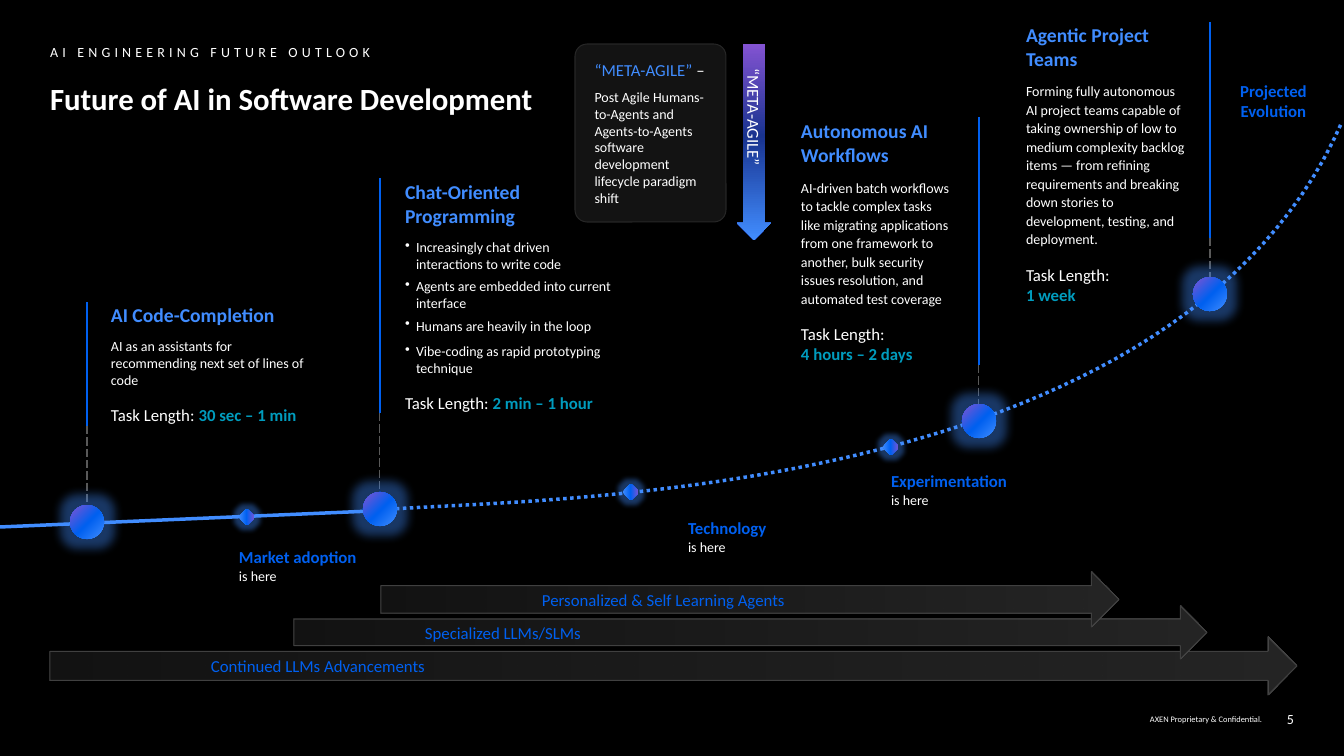
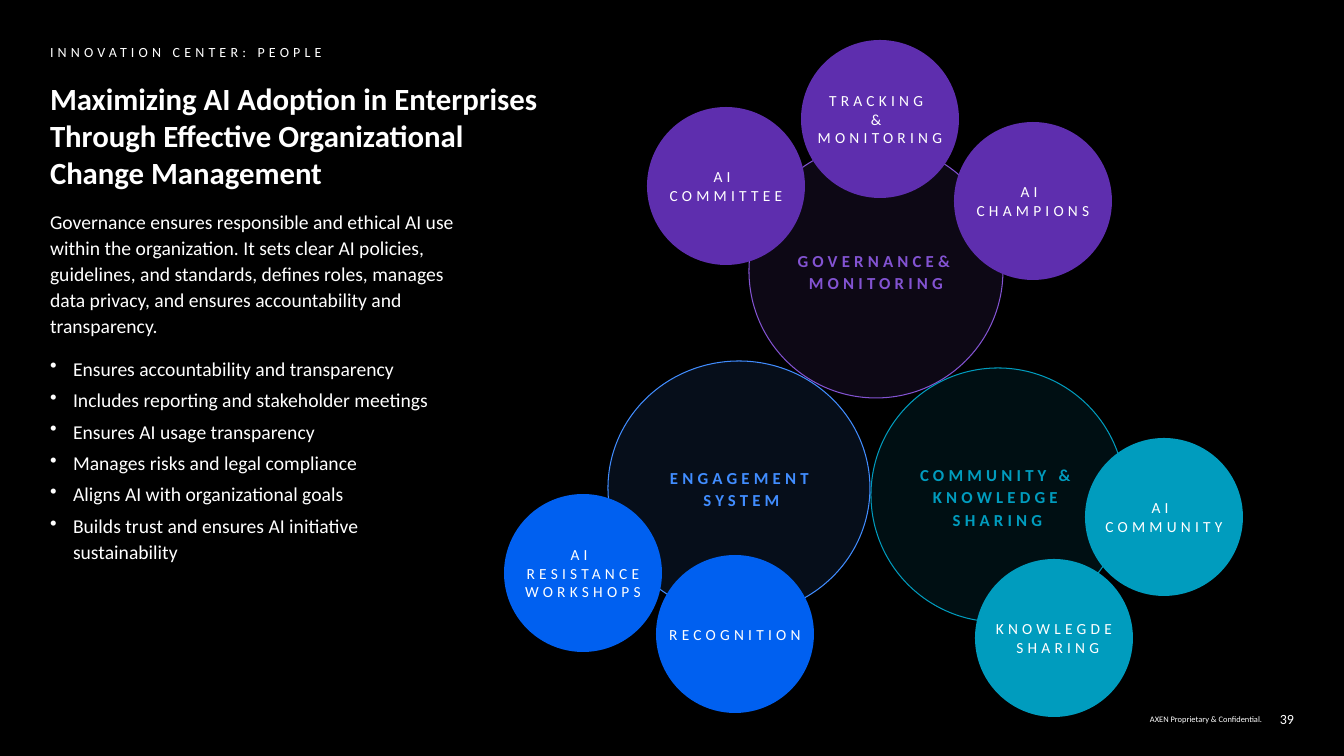
from lxml.etree import SubElement
from pptx import Presentation
from pptx.dml.color import RGBColor
from pptx.enum.dml import MSO_LINE
from pptx.enum.shapes import MSO_CONNECTOR, MSO_SHAPE
from pptx.enum.text import MSO_ANCHOR, MSO_AUTO_SIZE, PP_ALIGN
from pptx.oxml.ns import qn
from pptx.util import Emu, Pt

SCALE = 12192000 / 1344
WHITE, BLACK, GRAY, DARK = "FFFFFF", "000000", "595959", "262626"
SKY, BLUE, LILAC, PURPLE, TEAL = "418DFF", "0060F0", "8353D2", "5E2EAE", "009CBE"
GLOSS = [(0, SKY, 100), (48, BLUE, 100), (100, LILAC, 100)]
FADE = [(0, DARK, 50), (100, DARK, 100)]
DROP = [(0, LILAC, 100), (47, "19338F", 100), (100, SKY, 100)]

STYLES = {
    "title": (WHITE, 0, {"size": Pt(22), "bold": True}),
    "kicker": (WHITE, 300, {"size": Pt(10)}),
    "foot": (WHITE, 0, {"size": Pt(6)}),
    "small": (WHITE, 0, {"size": Pt(10)}),
    "plain": (WHITE, 0, {"size": Pt(12)}),
    "large": (WHITE, 0, {"size": Pt(14)}),
    "head": (SKY, 0, {"size": Pt(14), "bold": True}),
    "term": (SKY, 0, {"size": Pt(12)}),
    "span": (TEAL, 0, {"size": Pt(12), "bold": True}),
    "mark": (BLUE, 0, {"size": Pt(12), "bold": True}),
    "trend": (BLUE, 0, {"size": Pt(12)}),
    "ring": (WHITE, 300, {"size": Pt(11)}),
    LILAC: (LILAC, 300, {"size": Pt(12), "bold": True}),
    SKY: (SKY, 300, {"size": Pt(12), "bold": True}),
    TEAL: (TEAL, 300, {"size": Pt(12), "bold": True}),
}
LOOSE = {"line_spacing": 1.1}
MID = {"alignment": PP_ALIGN.CENTER}
RIGHT = {"alignment": PP_ALIGN.RIGHT}


def gap(after, **more):
    return {"space_after": Pt(after), **more}


def para(text, style, **form):
    return [(text, style)], form


def task(span):
    return [("Task Length: ", "plain"), (span, "span")], {}


def point(text, style, hang, after, **more):
    return [(text, style)], gap(after, hang=hang, **more)


STAGES = [
    ((87, 302, 225, 123), (24, 0, 0, 0), MSO_ANCHOR.BOTTOM, [
        para("AI Code-Completion", "head", **gap(8)),
        para("AI as an assistants for recommending next set of lines of code", "small", **gap(12)),
        task("30 sec – 1 min")]),
    ((381, 178, 233, 235), (24, 0, 0, 0), MSO_ANCHOR.BOTTOM, [
        para("Chat-Oriented Programming", "head", **gap(8)),
        point("Increasingly chat driven interactions to write code", "small", 11, 4),
        point("Agents are embedded into current interface", "small", 11, 4),
        point("Humans are heavily in the loop", "small", 11, 4),
        point("Vibe-coding as rapid prototyping technique", "small", 11, 12, space_before=Pt(2)),
        task("2 min – 1 hour")]),
    ((801, 117, 176, 247), (0, 0, 24, 0), MSO_ANCHOR.BOTTOM, [
        para("Autonomous AI Workflows", "head", **gap(8)),
        para("AI-driven batch workflows to tackle complex tasks like migrating applications "
             "from one framework to another, bulk security issues resolution, and automated "
             "test coverage", "small", **gap(12, **LOOSE)),
        para("Task Length:", "plain"), para("4 hours – 2 days", "span")]),
    ((1026, 23, 184, 284), (0, 0, 24, 0), MSO_ANCHOR.TOP, [
        para("Agentic Project Teams", "head", **gap(8)),
        para("Forming fully autonomous AI project teams capable of taking ownership of low to "
             "medium complexity backlog items — from refining requirements and breaking down "
             "stories to development, testing, and deployment.", "small", **gap(12, **LOOSE)),
        para("Task Length:", "plain"), para("1 week", "span")]),
]
POSTS = [(87, 302, 426, 522), (380, 178, 413, 509), (979, 117, 365, 421), (1210, 22, 238, 294)]
GEMS = [(247, 517), (631, 492), (891, 447)]
MARKS = [("Market adoption", 239, 547), ("Technology", 688, 518), ("Experimentation", 891, 471)]
CURVE = [(368, 511), (495, 497), (1170, 517), (1342, 122)]
TRENDS = [
    ("Continued LLMs Advancements", (50, 637, 1247, 58), 161),
    ("Specialized LLMs/SLMs", (294, 606, 913, 53), 131),
    ("Personalized & Self Learning Agents", (381, 572, 738, 55), 161),
]
META = [
    ([("“META-AGILE” ", "term"), ("–", "plain")], gap(6)),
    para("Post Agile Humans-to-Agents and Agents-to-Agents software development lifecycle "
         "paradigm shift", "small"),
]
DUTIES = [
    "Ensures accountability and transparency",
    "Includes reporting and stakeholder meetings",
    "Ensures AI usage transparency",
    "Manages risks and legal compliance",
    "Aligns AI with organizational goals",
    "Builds trust and ensures AI initiative sustainability",
]
INTRO = ("Governance ensures responsible and ethical AI use within the organization. It sets "
         "clear AI policies, guidelines, and standards, defines roles, manages data privacy, "
         "and ensures accountability and transparency.")
HUBS = [
    ("GOVERNANCE& MONITORING", LILAC, (749, 144, 254, 254), (794, 249, 164, 43)),
    ("COMMUNITY & KNOWLEDGE SHARING", TEAL, (871, 368, 254, 254), (911, 463, 173, 67)),
    ("ENGAGEMENT SYSTEM", SKY, (608, 361, 262, 254), (650, 466, 183, 44)),
]
RINGS = [
    ("RECOGNITION", BLUE, 656, 555),
    ("AI \nCHAMPIONS", PURPLE, 954, 122),
    ("AI \nCOMMUNITY", TEAL, 1085, 438),
    ("AI \nRESISTANCE\nWORKSHOPS", BLUE, 504, 494),
    ("AI \nCOMMITTEE", PURPLE, 647, 107),
    ("TRACKING \n& \nMONITORING", PURPLE, 801, 40),
    ("KNOWLEGDE\n SHARING", TEAL, 975, 559),
]


def px(*nums):
    return [Emu(round(n * SCALE)) for n in nums]


def tint(code):
    return RGBColor.from_string(code)


def write(frame, paras, inset=(0, 0, 0, 0), anchor=MSO_ANCHOR.TOP, wrap=True):
    left, top, right, low = px(*inset)
    form = {"margin_left": left, "margin_top": top, "margin_right": right, "margin_bottom": low,
            "word_wrap": wrap, "auto_size": MSO_AUTO_SIZE.NONE, "vertical_anchor": anchor}
    for key, val in form.items():
        setattr(frame, key, val)
    for num, (runs, look) in enumerate(paras):
        line = frame.add_paragraph() if num else frame.paragraphs[0]
        look = {"alignment": PP_ALIGN.LEFT, **look}
        hang = look.pop("hang", 0)
        if hang:
            props = line._p.get_or_add_pPr()
            wide = px(hang)[0]
            props.set("marL", str(wide))
            props.set("indent", str(-wide))
            SubElement(props, qn("a:buChar")).set("char", "•")
        for key, val in look.items():
            setattr(line, key, val)
        for text, style in runs:
            color, space, font = STYLES[style]
            run = line.add_run()
            run.text = text
            for key, val in {"name": "Calibri", "bold": False, **font}.items():
                setattr(run.font, key, val)
            run.font.color.rgb = tint(color)
            if space:
                run._r.get_or_add_rPr().set("spc", str(space))


def label(slide, box, paras, **form):
    write(slide.shapes.add_textbox(*px(*box)).text_frame, paras, **form)


def veil(node, alpha):
    SubElement(node, qn("a:alpha")).set("val", str(alpha * 1000))


def draw(slide, kind, box, fill, alpha=100, edge=None, angle=0, turn=0, glow=0):
    shape = slide.shapes.add_shape(kind, *px(*box))
    shape.shadow.inherit = False
    shape.rotation = turn
    props = shape.element.spPr
    if isinstance(fill, str):
        shape.fill.solid()
        shape.fill.fore_color.rgb = tint(fill)
        if alpha < 100:
            veil(props.find(".//" + qn("a:srgbClr")), alpha)
    else:
        shape.fill.gradient()
        grad = props.find(qn("a:gradFill"))
        grad.find(qn("a:lin")).set("ang", str(angle * 60000))
        stops = grad.find(qn("a:gsLst"))
        for old in list(stops):
            stops.remove(old)
        for pos, code, part in fill:
            stop = SubElement(stops, qn("a:gs"))
            stop.set("pos", str(pos * 1000))
            hue = SubElement(stop, qn("a:srgbClr"))
            hue.set("val", code)
            veil(hue, part)
    if edge:
        shape.line.color.rgb = tint(edge)
        shape.line.width = Pt(0.75)
    else:
        shape.line.fill.background()
    if glow:
        halo = SubElement(props.find(qn("a:effectLst")), qn("a:glow"))
        halo.set("rad", str(px(glow)[0]))
        hue = SubElement(halo, qn("a:srgbClr"))
        hue.set("val", SKY)
        veil(hue, 40)
    return shape


def rule(slide, ends, color, width, dash=None):
    line = slide.shapes.add_connector(MSO_CONNECTOR.STRAIGHT, *px(*ends))
    line.line.color.rgb = tint(color)
    line.line.width = Pt(width)
    if dash:
        line.line.dash_style = dash
    SubElement(line.element.spPr, qn("a:effectLst"))


def trace(slide, ends, steps=60):
    dots = []
    for step in range(steps + 1):
        t = step / steps
        mix = ((1 - t) ** 3, 3 * t * (1 - t) ** 2, 3 * t * t * (1 - t), t ** 3)
        dots.append(px(*(sum(m * p[i] for m, p in zip(mix, ends)) for i in (0, 1))))
    form = slide.shapes.build_freeform(*dots[0], scale=1.0)
    form.add_line_segments(dots[1:], close=False)
    curve = form.convert_to_shape()
    curve.shadow.inherit = False
    curve.fill.background()
    curve.line.color.rgb = tint(SKY)
    curve.line.width = Pt(2.5)
    curve.line.dash_style = MSO_LINE.ROUND_DOT


def start(deck, title, box, kicker, page):
    slide = deck.slides.add_slide(deck.slide_layouts[5])
    head = slide.shapes.title
    head.left, head.top, head.width, head.height = px(*box)
    write(head.text_frame, [para(title, "title")])
    label(slide, (50, 42, 398, 25), [para(kicker, "kicker", **LOOSE)])
    label(slide, (1108, 707, 154, 24), [para("AXEN Proprietary & Confidential.", "foot", **RIGHT)],
          anchor=MSO_ANCHOR.MIDDLE)
    label(slide, (1267, 707, 27, 24), [para(page, "small", **RIGHT)], anchor=MSO_ANCHOR.MIDDLE)
    return slide


def future(deck):
    slide = start(deck, "Future of AI in Software Development", (50, 80, 520, 50),
                  "AI ENGINEERING FUTURE OUTLOOK", "5")
    for x, top, mid, low in POSTS:
        rule(slide, (x, mid, x, low), GRAY, 0.75, MSO_LINE.LONG_DASH)
        rule(slide, (x, top, x, mid), BLUE, 1)
    rule(slide, (0, 527, 372, 511), SKY, 2.5)
    trace(slide, CURVE)
    for x, _, _, y in POSTS:
        draw(slide, MSO_SHAPE.OVAL, (x - 17, y - 17, 34, 34), GLOSS, angle=45, turn=180, glow=20)
    for x, y in GEMS:
        draw(slide, MSO_SHAPE.ROUNDED_RECTANGLE, (x - 6, y - 6, 12, 12), GLOSS,
             angle=45, turn=315, glow=10)
    for box, inset, anchor, paras in STAGES:
        label(slide, box, paras, inset=inset, anchor=anchor)
    for name, x, y in MARKS:
        label(slide, (x, y, 138, 38), [para(name, "mark"), para("is here", "small")])
    label(slide, (1238, 81, 71, 40), [para("Projected Evolution", "mark", **MID)])
    for name, box, inset in TRENDS:
        arrow = draw(slide, MSO_SHAPE.RIGHT_ARROW, box, FADE, edge="404040")
        write(arrow.text_frame, [para(name, "trend")], (inset, 0, 20, 0), MSO_ANCHOR.MIDDLE)
    card = draw(slide, MSO_SHAPE.ROUNDED_RECTANGLE, (575, 44, 151, 178), DARK, 50, DARK)
    card.adjustments[0] = 0.08
    write(card.text_frame, META, (16, 8, 16, 8), MSO_ANCHOR.MIDDLE)
    arrow = draw(slide, MSO_SHAPE.RIGHT_ARROW, (656, 125, 196, 34), DROP, turn=90)
    arrow.adjustments[0] = 0.64
    write(arrow.text_frame, [para("“META-AGILE”", "plain")], (24, 0, 0, 0), MSO_ANCHOR.MIDDLE)


def people(deck):
    slide = start(deck, "Maximizing AI Adoption in Enterprises Through Effective "
                  "Organizational Change Management", (50, 80, 493, 132),
                  "INNOVATION CENTER: PEOPLE", "39")
    label(slide, (50, 208, 415, 380), [para(INTRO, "large", **gap(12, **LOOSE))]
          + [point(duty, "large", 23, 4, **LOOSE) for duty in DUTIES])
    for _, color, box, _ in HUBS:
        draw(slide, MSO_SHAPE.OVAL, box, color, 10, color)
    for name, color, _, box in HUBS:
        label(slide, box, [para(name, color, **MID, **LOOSE)])
    for name, color, x, y in RINGS:
        ring = draw(slide, MSO_SHAPE.OVAL, (x, y, 158, 158), color)
        write(ring.text_frame, [para(row, "ring", **MID) for row in name.split("\n")],
              anchor=MSO_ANCHOR.MIDDLE, wrap=False)


def main():
    deck = Presentation()
    deck.slide_width, deck.slide_height = px(1344, 756)
    back = deck.slide_master.background.fill
    back.solid()
    back.fore_color.rgb = tint(BLACK)
    future(deck)
    people(deck)
    deck.save("out.pptx")


if __name__ == "__main__":
    main()
